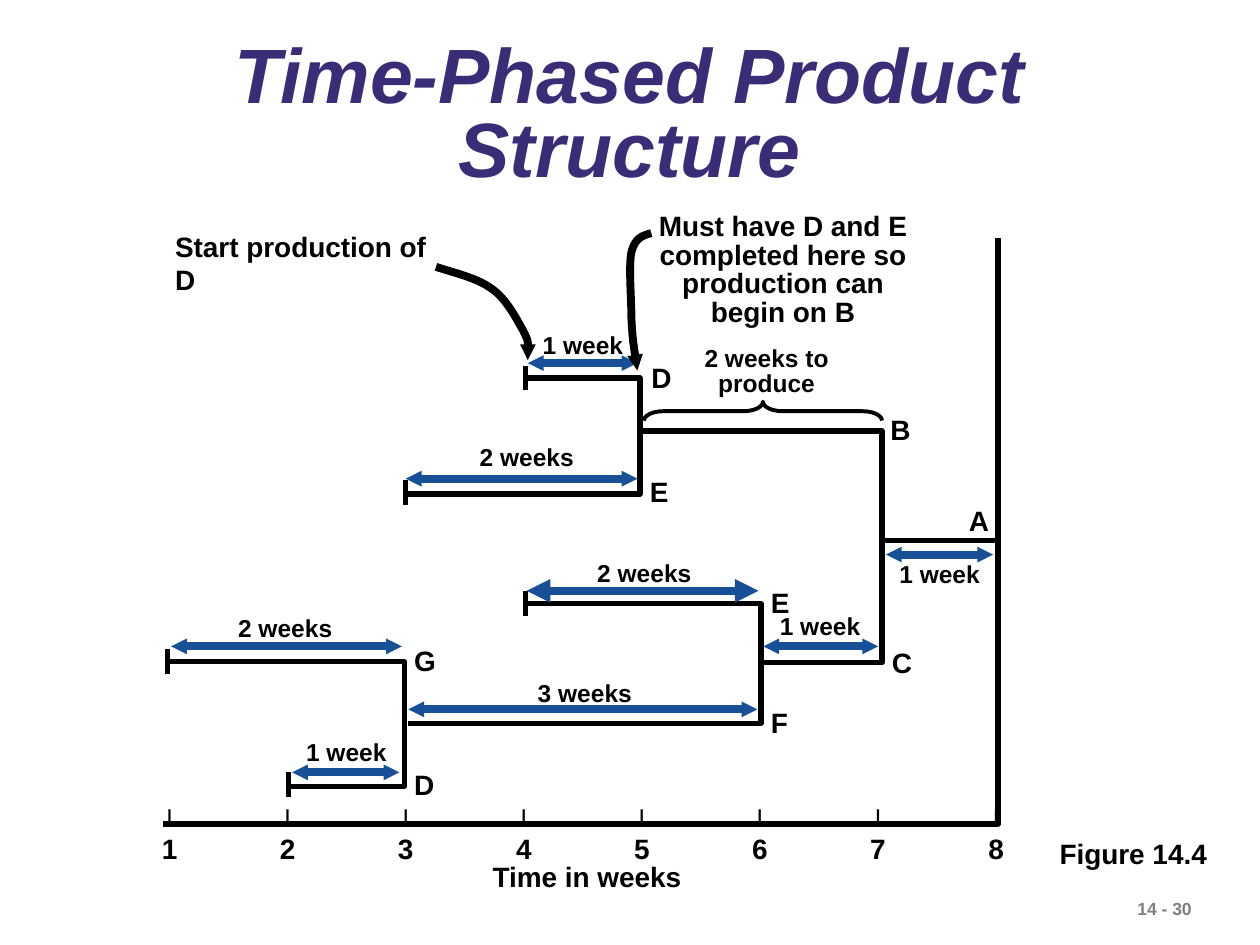
from lxml import etree
from pptx import Presentation
from pptx.dml.color import RGBColor
from pptx.enum import shapes, text
from pptx.oxml import ns
from pptx.util import Cm, Pt

COLORS = {"title": "3A2C76", "black": "000000", "blue": "175097", "grey": "7F7F7F"}
FONT = "Arial"


def stroke(sp, color, width, ends=(), size="sm"):
    """Style a line or outline, without shadow and with triangles at the named ends."""
    sp.line.color.rgb = RGBColor.from_string(COLORS[color])
    sp.line.width = Pt(width)
    ln = sp.line._get_or_add_ln()
    for end in ends:
        etree.SubElement(ln, ns.qn(f"a:{end}"), type="triangle", w=size, len=size)
    etree.SubElement(sp._element.spPr, ns.qn("a:effectLst"))


def label(words, x, y, w, h=0.94, size=16, color="black", wrap=False):
    """Add a bold text box; wrapped ones are centred with tight lines."""
    sp = s.shapes.add_textbox(Cm(x), Cm(y), Cm(w), Cm(h))
    sp.text_frame.word_wrap = wrap
    p = sp.text_frame.paragraphs[0]
    if wrap:
        p.alignment = text.PP_ALIGN.CENTER
        p.line_spacing = 0.85
    r = p.add_run()
    r.text = words
    r.font.name, r.font.size, r.font.bold = FONT, Pt(size), True
    r.font.color.rgb = RGBColor.from_string(COLORS[color])


prs = Presentation()
prs.slide_width, prs.slide_height = Cm(25.4), Cm(19.05)
s = prs.slides.add_slide(prs.slide_layouts[5])

# Title
sp = s.shapes.title
sp.left, sp.top, sp.width, sp.height = Cm(1.9), Cm(0.64), Cm(21.6), Cm(3.5)
tf = sp.text_frame
tf.word_wrap = True
tf.auto_size = text.MSO_AUTO_SIZE.NONE
tf.vertical_anchor = text.MSO_ANCHOR.MIDDLE
p = tf.paragraphs[0]
p.alignment = text.PP_ALIGN.CENTER
p.line_spacing = 0.8
r = p.add_run()
r.text = "Time-Phased Product Structure"
r.font.name, r.font.size, r.font.bold, r.font.italic = FONT, Pt(44), True, True
r.font.color.rgb = RGBColor.from_string(COLORS["title"])

# Time axis and the brackets that join parts to their parent
brackets = [
    [(3.28, 16.61), (20.12, 16.61), (20.12, 4.8)],
    [(10.59, 12.17), (15.34, 12.17), (15.34, 14.58), (8.23, 14.58)],
    [(10.59, 7.62), (12.9, 7.62), (12.9, 9.96), (8.15, 9.96)],
    [(3.43, 13.34), (8.15, 13.34), (8.15, 15.85), (5.82, 15.85)],
    [(12.88, 8.69), (17.78, 8.69), (17.78, 13.36), (15.34, 13.36)],
]
for points in brackets:
    corners = [(Cm(x), Cm(y)) for x, y in points]
    builder = s.shapes.build_freeform(*corners[0])
    builder.add_line_segments(corners[1:], close=False)
    sp = builder.convert_to_shape()
    sp.fill.background()
    stroke(sp, "black", 3)

# Link to A, then the start mark of each part
marks = [(20.12, 10.9, 17.75, 10.9)]
for x, y in [(10.59, 11.91), (10.59, 7.37), (8.18, 9.68), (3.38, 13.08), (5.82, 15.57)]:
    marks.append((x, y, x, y + 0.5))
for ends in marks:
    sp = s.shapes.add_connector(shapes.MSO_CONNECTOR.STRAIGHT, *map(Cm, ends))
    stroke(sp, "black", 3)

# Lead times: arrow from, to, y; label, its x and y
lead_times = [
    (10.62, 15.29, 11.91, "2 weeks", 11.79, 11.13),
    (8.23, 15.27, 14.3, "3 weeks", 10.59, 13.54),
    (17.86, 20.02, 11.18, "1 week", 17.88, 11.15),
    (8.18, 12.85, 9.65, "2 weeks", 9.42, 8.79),
    (10.64, 12.85, 7.32, "1 week", 10.69, 6.53),
    (3.45, 8.1, 13.03, "2 weeks", 4.55, 12.24),
    (5.89, 8.05, 15.57, "1 week", 5.92, 14.73),
    (15.39, 17.7, 13.03, "1 week", 15.47, 12.19),
]
for i, (x1, x2, y, words, x, top) in enumerate(lead_times):
    sp = s.shapes.add_connector(shapes.MSO_CONNECTOR.STRAIGHT, Cm(x1), Cm(y), Cm(x2), Cm(y))
    stroke(sp, "blue", 4.5, ("headEnd", "tailEnd"), "med" if i == 0 else "sm")
    label(words, x, top, 2.13 if words == "1 week" else 2.41, 0.86, 14)

# Part names
parts = [
    ("A", 19.28, 10.03), ("B", 17.7, 8.2), ("C", 17.73, 12.88),
    ("D", 12.88, 7.14), ("E", 12.85, 9.45), ("E", 15.29, 11.68),
    ("F", 15.29, 14.1), ("G", 8.1, 12.85), ("D", 8.1, 15.34),
]
for name, x, y in parts:
    label(name, x, y, 0.9)

# Week scale
sp = s.shapes.add_textbox(Cm(2.64), Cm(16.05), Cm(18.16), Cm(1.52))
tf = sp.text_frame
tf.word_wrap = True
weeks = range(1, 9)
rows = [("|" * len(weeks), 10), (weeks, 16)]
for i, (items, size) in enumerate(rows):
    p = tf.paragraphs[0] if i == 0 else tf.add_paragraph()
    tabs = etree.SubElement(p._p.get_or_add_pPr(), ns.qn("a:tabLst"))
    for week in weeks:
        etree.SubElement(tabs, ns.qn("a:tab"), pos=str(Cm(0.53 + 2.38 * (week - 1))), algn="ctr")
    p.line_spacing = 1.15
    r = p.add_run()
    r.text = "".join(f"\t{item}" for item in items)
    r.font.name, r.font.size, r.font.bold = FONT, Pt(size), True
    r.font.color.rgb = RGBColor.from_string(COLORS["black"])

# Notes around the diagram
label("Time in weeks", 9.68, 17.2, 4.32)
label("Start production of D", 3.28, 4.5, 6.12)
label("Must have D and E completed here so production can begin on B",
      12.7, 4.19, 6.17, 2.57, wrap=True)
label("2 weeks to produce", 13.92, 6.88, 3.07, 1.27, 14, wrap=True)
label("Figure 14.4", 21.11, 16.74, 3.48)
label("14 - 30", 22.68, 17.98, 2.9, 0.69, 10, "grey")

# Curved pointers: a start, then three points for each Bézier piece
pointers = [
    [(8.79, 5.38), (9.19, 5.51), (9.63, 5.61), (9.91, 5.82), (10.21, 6.02),
     (10.41, 6.43), (10.54, 6.65), (10.67, 6.91), (10.67, 7.09), (10.64, 7.26)],
    [(13.13, 4.7), (12.95, 4.75), (12.8, 4.8), (12.73, 5.08), (12.67, 5.36),
     (12.73, 6.02), (12.73, 6.43), (12.75, 6.83), (12.8, 7.14), (12.85, 7.47)],
]
for points in pointers:
    controls = [(Cm(x), Cm(y)) for x, y in points]
    builder = s.shapes.build_freeform(*controls[0])
    builder.add_line_segments(controls[1:], close=False)
    sp = builder.convert_to_shape()
    lines = list(sp._element.iter(ns.qn("a:lnTo")))
    for i in range(0, len(lines), 3):
        curve = etree.SubElement(lines[i].getparent(), ns.qn("a:cubicBezTo"))
        for line in lines[i:i + 3]:
            curve.append(line[0])
            line.getparent().remove(line)
    sp.fill.background()
    stroke(sp, "black", 4.5, ("tailEnd",))

# Brace over the lead time of B
sp = s.shapes.add_shape(shapes.MSO_SHAPE.LEFT_BRACE, Cm(15.19), Cm(5.89), Cm(0.38), Cm(4.8))
sp.rotation = 90
sp.adjustments[0] = 1.04
sp.fill.background()
stroke(sp, "black", 2.25)

prs.save("out.pptx")
